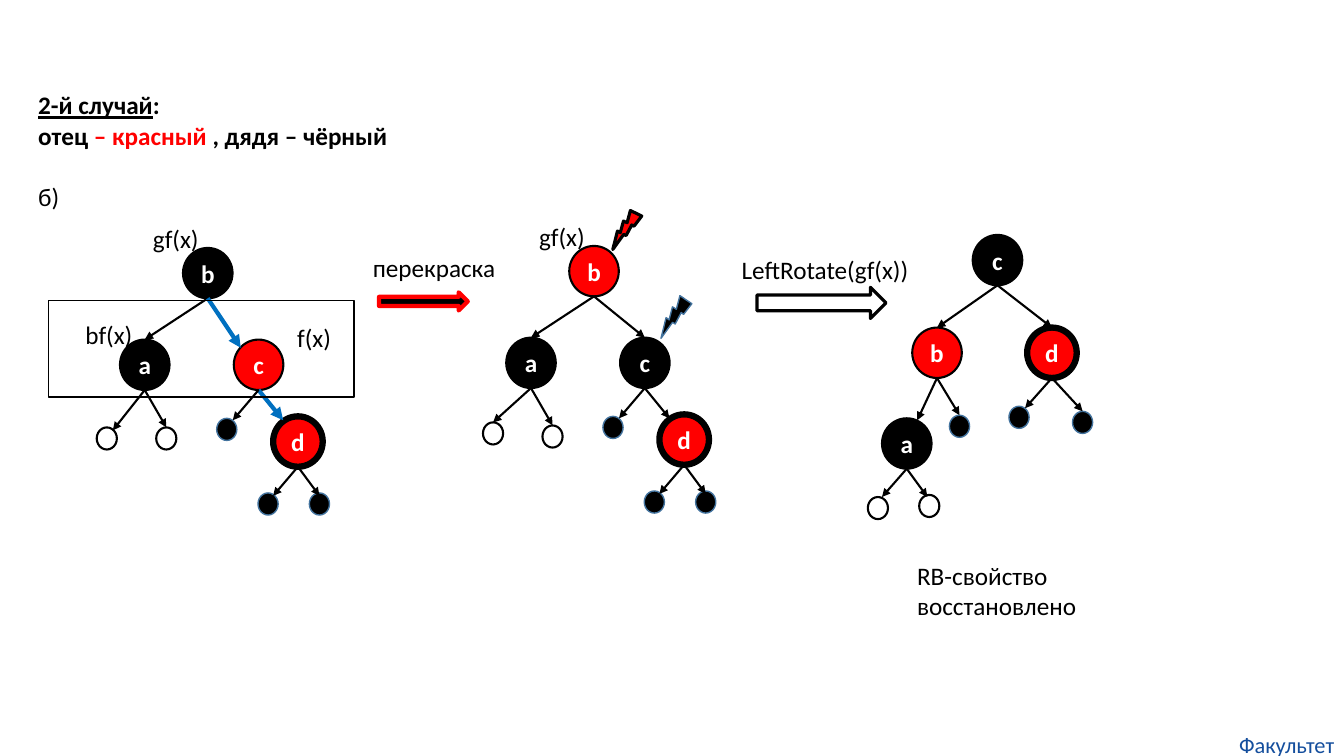
from dataclasses import dataclass, replace
from typing import Optional

from lxml import etree
from pptx import Presentation
from pptx.dml import color
from pptx.enum import shapes, text
from pptx.oxml import ns
from pptx.util import Pt

HUES = {"black": "000000", "white": "FFFFFF", "red": "FF0000",
        "blue": "0070C0", "steel": "43739E", "navy": "144E9D"}
FORM = {"name": "Calibri", "size": Pt(18)}
BOLD = {"bold": True}
NODE = (35.4, 36)
LEAF = (14.4, 15.8)
KIND = shapes.MSO_SHAPE


@dataclass
class Node:
    """x is the centre and y the top; dx, dy shift the arrow tip from there."""
    key: str
    root: str
    x: float
    y: float
    fill: Optional[str] = "black"
    label: str = ""
    dx: float = 0
    dy: float = 0
    hot: bool = False
    thick: bool = False


@dataclass
class Mark:
    kind: KIND
    x: float
    y: float
    w: float
    h: float
    fill: Optional[str]
    line: str
    width: float
    turn: float = 0


@dataclass
class Run:
    words: str
    hue: str = "black"
    form: Optional[dict] = None


@dataclass
class Note:
    x: float
    y: float
    w: float
    h: float
    lines: list[list[Run]]
    wrap: bool = False


FIRST = [
    Node("b", "", 148.4, 177.1, label="b"),
    Node("a", "b", 103.4, 242.6, label="а"),
    Node("c", "b", 184.7, 242.6, "red", "c", -12.7, 5.8, hot=True),
    Node("d", "c", 212.8, 297.4, "red", "d", -10.5, 2.8, hot=True, thick=True),
    Node("a1", "a", 76.3, 305.3, None, dx=4.3, dy=2.1),
    Node("a2", "a", 118.8, 305.3, None),
    Node("c1", "c", 162, 298.8, dx=4.3, dy=1.4),
    Node("d1", "d", 191.5, 352.1, dx=3.6, dy=2.1),
    Node("d2", "d", 228.2, 352.1, dy=2.1),
]
SHIFT = (275.9, -1.4)
CHANGE = {
    "b": {"fill": "red"},
    "a": {"label": "a"},
    "c": {"fill": "black", "dx": 0, "dy": 0, "hot": False},
    "d": {"hot": False},
    "a1": {"y": 301.7, "fill": "white", "dx": 0, "dy": 0},
}
NEXT = [replace(n, **{"x": n.x + SHIFT[0], "y": n.y + SHIFT[1],
                      **CHANGE.get(n.key, {})}) for n in FIRST]
LAST = [
    Node("c", "", 712.5, 167.8, label="c"),
    Node("b", "c", 669.3, 234, "red", "b"),
    Node("d", "c", 751.4, 234, "red", "d", thick=True),
    Node("a", "b", 647.7, 298.8, label="a", dx=7.5, dy=1.4),
    Node("b2", "b", 685.4, 296.6),
    Node("d1", "d", 727.9, 290.2, dx=4.3, dy=1.4),
    Node("d2", "d", 773.3, 293.8),
    Node("a1", "a", 627.1, 355, None, dx=2.9),
    Node("a2", "a", 663.8, 353.5, None, dx=-1.4, dy=1.5),
]

MARKS = [
    Mark(KIND.RECTANGLE, 34.6, 214.6, 218.2, 69.1, None, "black", 1),
    Mark(KIND.RIGHT_ARROW, 270.7, 208.8, 63.4, 13, "black", "red", 3),
    Mark(KIND.RIGHT_ARROW, 540.7, 205.2, 92.2, 22.3, None, "black", 2.25),
    Mark(KIND.LIGHTNING_BOLT, 437, 148.3, 18.7, 29.5, "red", "black", 2.25, 62),
    Mark(KIND.LIGHTNING_BOLT, 470.2, 210.2, 22.3, 30.2, "black", "steel", 1, 65.9),
]
NOTES = [
    Note(20.2, 60.5, 270.7, 94.3, [
        [Run("2-й случай", form={"bold": True, "underline": True}),
         Run(":", form=BOLD)],
        [Run("отец", form=BOLD), Run(" – красный ", "red", BOLD),
         Run(", дядя – чёрный", form=BOLD)],
        [Run("б)")]]),
    Note(205.2, 226.8, 38.9, 28.8, [[Run("f(x)")]]),
    Note(102.2, 156.2, 47.5, 28.8, [[Run("gf(x)")]]),
    Note(54, 224.6, 48.2, 28.8, [[Run("bf(x)")]]),
    Note(259.2, 176.4, 103, 28.8, [[Run("перекраска")]]),
    Note(378, 154.8, 47.5, 28.8, [[Run("gf(x)")]]),
    Note(522.7, 177.8, 139.7, 51.1, [[Run("LeftRotate(gf(x))")]], wrap=True),
    Note(648, 396.7, 129.6, 51.1, [[Run("RB-свойство")], [Run("восстановлено")]]),
]


def rgb(hue: str) -> color.RGBColor:
    return color.RGBColor.from_string(HUES[hue])


def write(para, run: Run) -> None:
    part = para.add_run()
    part.text = run.words
    for key, val in {**FORM, **(run.form or {})}.items():
        setattr(part.font, key, val)
    part.font.color.rgb = rgb(run.hue)


def bare(frame) -> None:
    """Take away the inner margins."""
    for side in ("left", "top", "right", "bottom"):
        setattr(frame, f"margin_{side}", 0)


def draw_mark(slide, mark: Mark):
    item = slide.shapes.add_shape(
        mark.kind, Pt(mark.x), Pt(mark.y), Pt(mark.w), Pt(mark.h))
    item.shadow.inherit = False
    item.rotation = mark.turn
    if mark.fill:
        item.fill.solid()
        item.fill.fore_color.rgb = rgb(mark.fill)
    else:
        item.fill.background()
    item.line.color.rgb = rgb(mark.line)
    item.line.width = Pt(mark.width)
    return item


def draw_note(slide, note: Note):
    box = slide.shapes.add_textbox(Pt(note.x), Pt(note.y), Pt(note.w), Pt(note.h))
    frame = box.text_frame
    frame.word_wrap = note.wrap
    frame.auto_size = text.MSO_AUTO_SIZE.SHAPE_TO_FIT_TEXT
    for i, line in enumerate(note.lines):
        para = frame.add_paragraph() if i else frame.paragraphs[0]
        for run in line:
            write(para, run)
    return frame


def draw_edge(slide, root: Node, node: Node) -> None:
    edge = slide.shapes.add_connector(
        shapes.MSO_CONNECTOR.STRAIGHT, Pt(root.x), Pt(root.y + NODE[1]),
        Pt(node.x + node.dx), Pt(node.y + node.dy))
    edge.line.color.rgb = rgb("blue" if node.hot else "black")
    edge.line.width = Pt(3 if node.hot else 1.5)
    tail = etree.SubElement(edge.line._get_or_add_ln(), ns.qn("a:tailEnd"))
    tail.set("type", "triangle")
    etree.SubElement(edge._element.spPr, ns.qn("a:effectLst"))


def draw_node(slide, node: Node) -> None:
    w, h = NODE if node.label else LEAF
    solid = not node.label and node.fill == "black"
    width = 4.5 if node.thick else 1 if solid else 1.5
    disc = draw_mark(slide, Mark(KIND.OVAL, node.x - w / 2, node.y, w, h, node.fill,
                                 "steel" if solid else "black", width))
    if node.label:
        frame = disc.text_frame
        bare(frame)
        frame.word_wrap = False
        frame.vertical_anchor = text.MSO_ANCHOR.MIDDLE
        frame.paragraphs[0].alignment = text.PP_ALIGN.CENTER
        write(frame.paragraphs[0], Run(node.label, "white", BOLD))


def draw_tree(slide, tree: list[Node]) -> None:
    keys = {node.key: node for node in tree}
    for node in tree:
        draw_node(slide, node)
    for node in tree:
        if node.root:
            draw_edge(slide, keys[node.root], node)


def main() -> None:
    deck = Presentation()
    deck.slide_width, deck.slide_height = Pt(960), Pt(540)
    slide = deck.slides.add_slide(deck.slide_layouts[6])
    for tree in (FIRST, NEXT, LAST):
        draw_tree(slide, tree)
    for mark in MARKS:
        draw_mark(slide, mark)
    frames = [draw_note(slide, note) for note in NOTES]
    frames[0].paragraphs[-1].space_before = Pt(22)
    foot = draw_note(slide, Note(878.4, 522, 81.4, 19.4, [
        [Run("Факультет", "navy", {"size": Pt(16)})]], wrap=True))
    bare(foot)
    foot.paragraphs[0].alignment = text.PP_ALIGN.CENTER
    deck.save("out.pptx")


if __name__ == "__main__":
    main()
